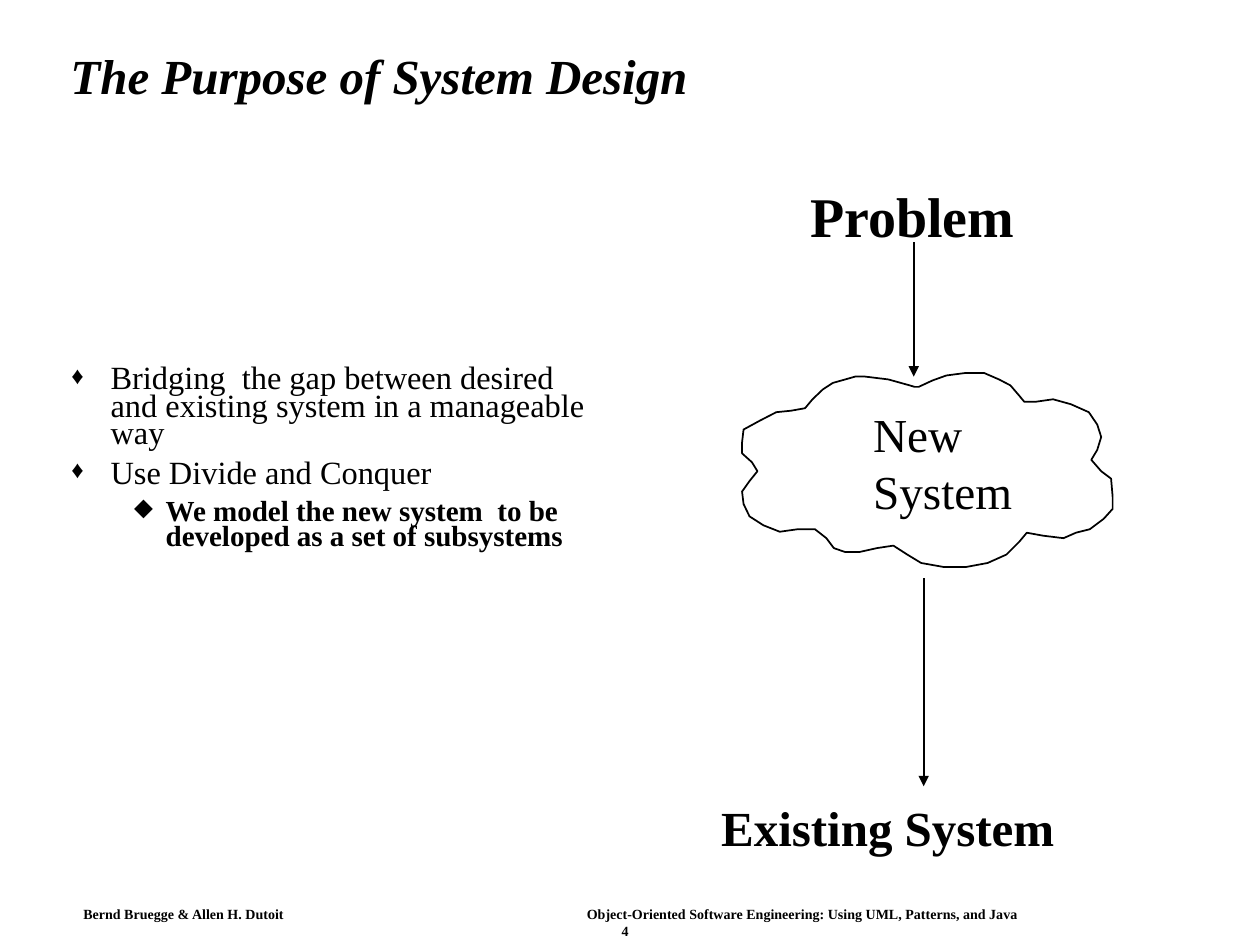
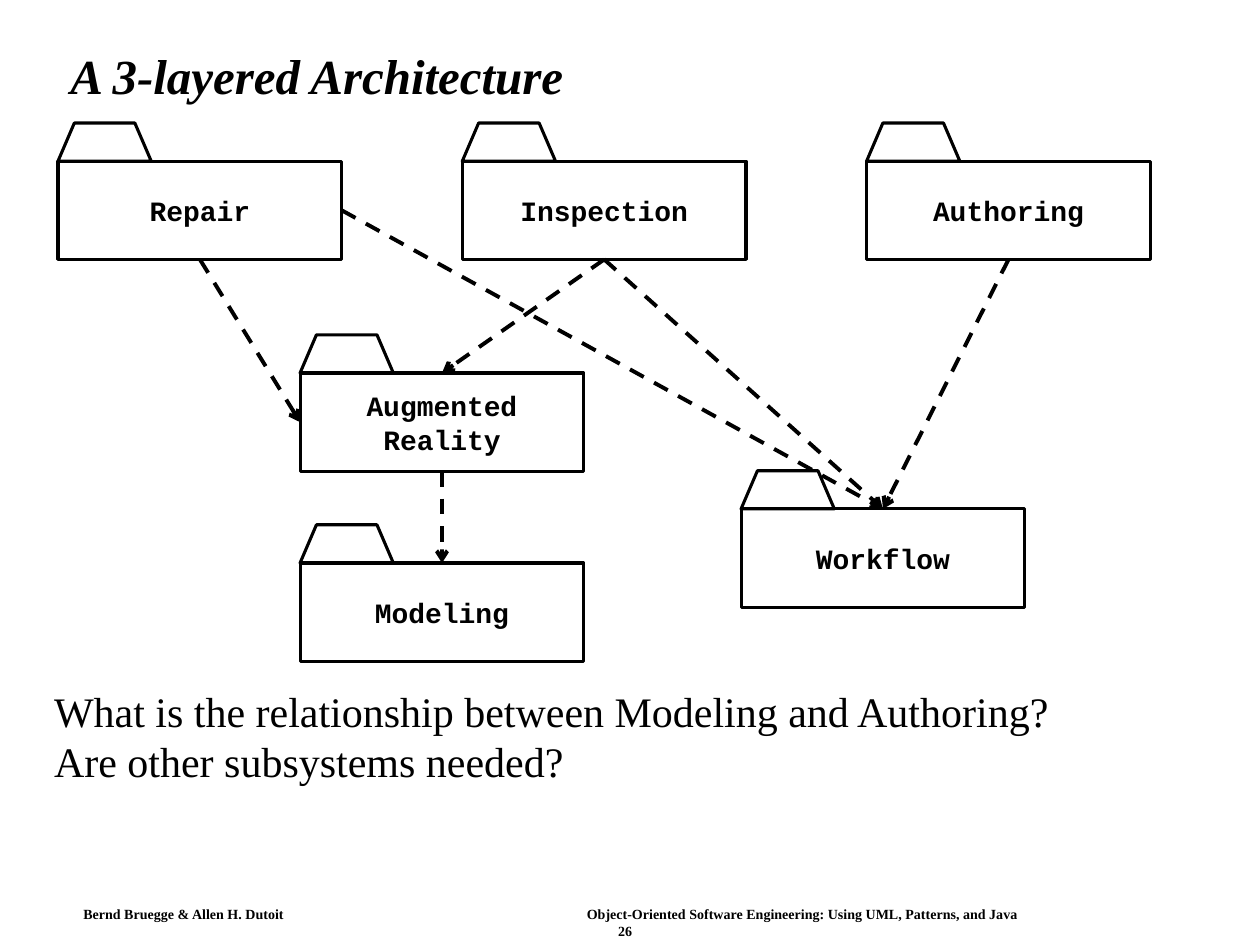
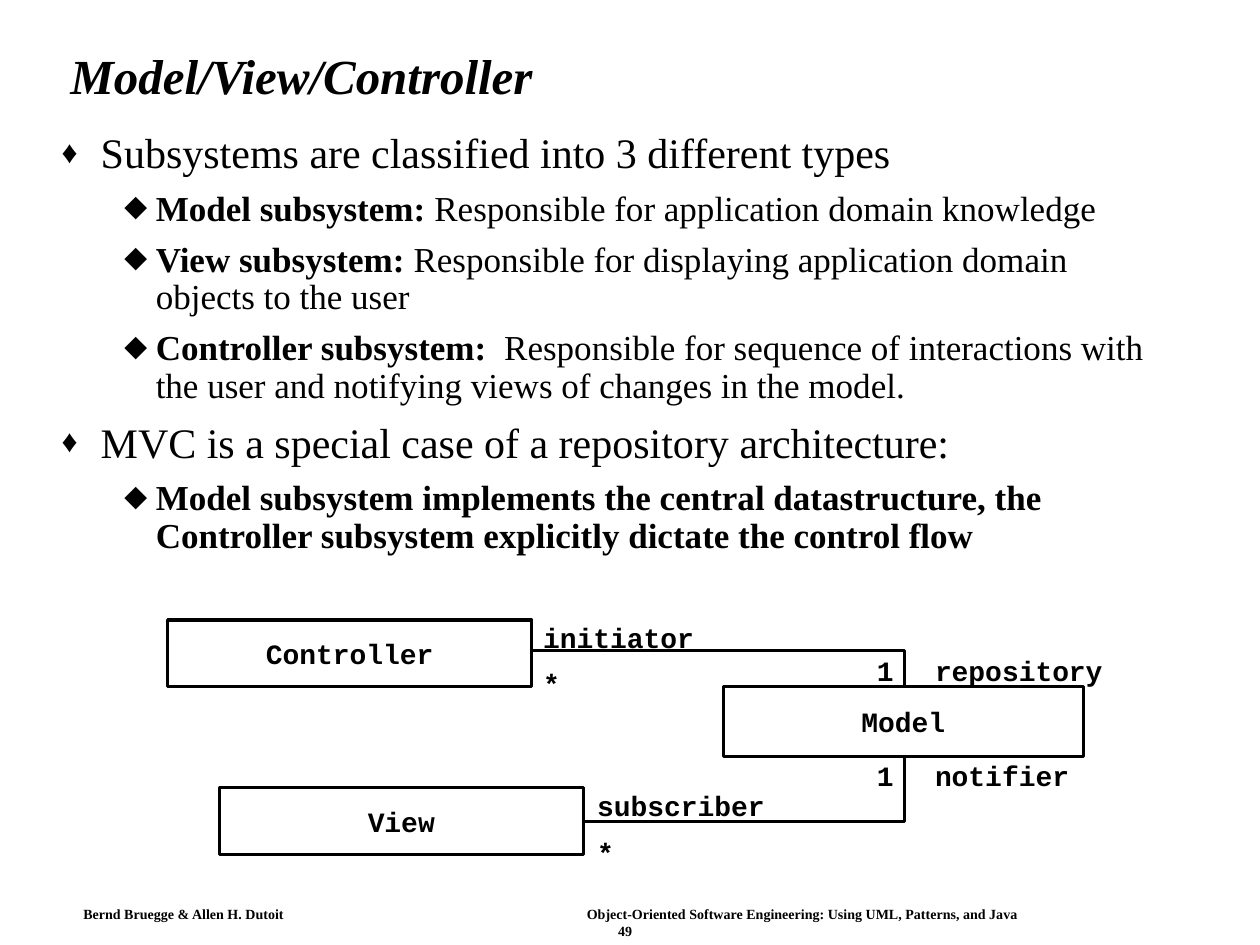
from dataclasses import dataclass
from typing import Optional

from lxml.etree import SubElement
from pptx import Presentation
from pptx.dml.color import RGBColor
from pptx.enum.dml import MSO_LINE_DASH_STYLE as Dash
from pptx.enum.shapes import MSO_CONNECTOR as ConnectorKind
from pptx.enum.shapes import MSO_SHAPE as Preset
from pptx.enum.text import MSO_ANCHOR as Anchor
from pptx.enum.text import MSO_AUTO_SIZE as AutoSize
from pptx.enum.text import PP_ALIGN as Align
from pptx.oxml.ns import qn
from pptx.shapes.autoshape import Shape
from pptx.shapes.connector import Connector
from pptx.slide import Slide
from pptx.text.text import TextFrame
from pptx.util import Cm, Pt

Point = tuple[float, float]


@dataclass(frozen=True)
class Theme:
    ink: RGBColor = RGBColor(0x00, 0x00, 0x00)
    paper: RGBColor = RGBColor(0xFF, 0xFF, 0xFF)
    serif: str = "Times New Roman"
    mono: str = "Courier New"
    title_size: float = 28
    footer_size: float = 8
    problem_size: float = 32
    existing_size: float = 28
    cloud_size: float = 27
    question_size: float = 24
    uml_size: float = 16
    thin: float = 1
    outline: float = 1.75
    dependency: float = 2.25


THEME = Theme()


@dataclass(frozen=True)
class Box:
    left: float
    top: float
    width: float
    height: float

    def lengths(self) -> tuple[Cm, Cm, Cm, Cm]:
        return Cm(self.left), Cm(self.top), Cm(self.width), Cm(self.height)


@dataclass(frozen=True)
class Bullet:
    level: int
    lead: str
    rest: str = ""


@dataclass(frozen=True)
class ListLevel:
    size: float
    space_before: float


@dataclass(frozen=True)
class ListStyle:
    line_spacing: float
    levels: tuple[ListLevel, ListLevel]


@dataclass(frozen=True)
class BulletMark:
    symbol: str
    percent: int
    margin: float
    hanging: float


@dataclass(frozen=True)
class Package:
    name: str
    left: float
    top: float


@dataclass(frozen=True)
class Dependency:
    source: str
    source_side: int
    target: str
    target_side: int


@dataclass(frozen=True)
class Label:
    text: str
    left: float
    top: float


TOP, LEFT, BOTTOM, RIGHT = range(4)
SLIDE_WIDTH, SLIDE_HEIGHT = 25.4, 19.05
TITLE_BOX = Box(1.17, 0.61, 22.66, 1.96)
FOOTER_BOX = Box(1.48, 18.16, 22.25, 0.8)
BOOK_TAB = 10.15
AUTHORS = "Bernd Bruegge & Allen H. Dutoit"
BOOK = "Object-Oriented Software Engineering: Using UML, Patterns, and Java"
MARKS = (BulletMark("♦", 75, 0.79, 0.79), BulletMark("⬥", 100, 1.9, 0.64))

PURPOSE_STYLE = ListStyle(0.7, (ListLevel(18.5, 7.5), ListLevel(16.6, 6.8)))
PURPOSE = [
    Bullet(0, "Bridging  the gap between desired and existing system in a manageable way"),
    Bullet(0, "Use Divide and Conquer"),
    Bullet(1, "We model the new system  to be developed as a set of subsystems"),
]
CLOUD = [
    (17.91, 7.65), (18.34, 7.77), (18.44, 7.8), (18.52, 7.8), (18.8, 7.67), (19.08, 7.57),
    (19.46, 7.52), (19.84, 7.52), (20.14, 7.65), (20.37, 7.77), (20.55, 7.98), (20.65, 8.1),
    (20.88, 8.1), (21.23, 8.05), (21.59, 8.15), (21.95, 8.31), (22.12, 8.56), (22.2, 8.81),
    (22.12, 9.07), (22.0, 9.27), (22.2, 9.5), (22.4, 9.65), (22.43, 10.01), (22.43, 10.26),
    (22.25, 10.46), (21.97, 10.67), (21.69, 10.74), (21.44, 10.85), (21.03, 10.8), (20.7, 10.74),
    (20.55, 10.92), (20.29, 11.18), (19.91, 11.35), (19.48, 11.43), (19.02, 11.43), (18.57, 11.35),
    (18.29, 11.18), (18.01, 11.0), (17.68, 11.05), (17.32, 11.13), (17.04, 11.13), (16.81, 11.05),
    (16.66, 10.85), (16.43, 10.67), (16.08, 10.67), (15.72, 10.72), (15.39, 10.59), (15.11, 10.41),
    (14.99, 10.16), (14.96, 9.91), (15.11, 9.7), (15.27, 9.5), (15.16, 9.32), (14.96, 9.14),
    (14.96, 8.92), (14.99, 8.66), (15.32, 8.48), (15.65, 8.31), (15.95, 8.28), (16.23, 8.23),
    (16.38, 8.05), (16.59, 7.85), (16.79, 7.72), (17.04, 7.65), (17.25, 7.59), (17.42, 7.59),
]

PACKAGE_WIDTH, PACKAGE_HEIGHT = 5.72, 1.98
TAB_WIDTH, TAB_HEIGHT, TAB_SLANT = 1.88, 0.77, 0.33
PACKAGES = [
    Package(name, 1.17 + 8.15 * column, 3.25)
    for column, name in enumerate(("Repair", "Inspection", "Authoring"))
] + [
    Package("Augmented\nReality", 6.05, 7.52),
    Package("Workflow", 14.94, 10.26),
    Package("Modeling", 6.05, 11.35),
]
DEPENDENCIES = [
    Dependency("Repair", BOTTOM, "Augmented\nReality", LEFT),
    Dependency("Inspection", BOTTOM, "Augmented\nReality", TOP),
    Dependency("Augmented\nReality", BOTTOM, "Modeling", TOP),
    Dependency("Authoring", BOTTOM, "Workflow", TOP),
    Dependency("Inspection", BOTTOM, "Workflow", TOP),
    Dependency("Repair", RIGHT, "Workflow", TOP),
]

MVC_STYLE = ListStyle(0.9, (ListLevel(24, 9), ListLevel(20, 7.5)))
MVC = [
    Bullet(0, "Subsystems are classified into 3 different types"),
    Bullet(1, "Model subsystem: ", "Responsible for application domain knowledge"),
    Bullet(1, "View subsystem: ",
           "Responsible for displaying application domain objects to the user"),
    Bullet(1, "Controller subsystem: ",
           " Responsible for sequence of interactions with the user and notifying views "
           "of changes in the model."),
    Bullet(0, "MVC is a special case of a repository architecture:"),
    Bullet(1, "Model subsystem implements the central datastructure, the Controller subsystem "
              "explicitly dictate the control flow"),
]
ASSOCIATIONS = [
    [(11.71, 16.56), (18.23, 16.56), (18.23, 15.19)],
    [(10.65, 13.11), (18.23, 13.11), (18.23, 13.84)],
]
CLASSES = {
    "Controller": Box(3.38, 12.5, 7.34, 1.35),
    "Model": Box(14.58, 13.84, 7.26, 1.42),
    "View": Box(4.42, 15.88, 7.34, 1.35),
}
CHARACTER_WIDTH = 0.34
ROLES = [
    Label("initiator", 10.95, 12.52), Label("*", 10.95, 13.44),
    Label("1", 17.68, 13.18), Label("repository", 18.85, 13.18),
    Label("1", 17.68, 15.29), Label("notifier", 18.85, 15.29),
    Label("subscriber", 12.04, 15.9), Label("*", 12.04, 16.84),
]


def style_text(frame: TextFrame, size: float, face: str = THEME.serif, bold: bool = False,
               italic: bool = False, align: Align = Align.LEFT) -> None:
    for paragraph in frame.paragraphs:
        paragraph.alignment = align
        for run in paragraph.runs:
            run.font.name = face
            run.font.size = Pt(size)
            run.font.bold = bold
            run.font.italic = italic
            run.font.color.rgb = THEME.ink


def set_insets(frame: TextFrame, across: float, down: float) -> None:
    frame.margin_left = frame.margin_right = Cm(across)
    frame.margin_top = frame.margin_bottom = Cm(down)


def add_text(slide: Slide, box: Box, text: str, insets: Point = (0.25, 0.13),
             wrap: bool = True) -> TextFrame:
    frame = slide.shapes.add_textbox(*box.lengths()).text_frame
    frame.word_wrap = wrap
    set_insets(frame, *insets)
    frame.text = text
    return frame


def place(placeholder: Shape, box: Box) -> TextFrame:
    placeholder.left, placeholder.top, placeholder.width, placeholder.height = box.lengths()
    frame = placeholder.text_frame
    frame.auto_size = AutoSize.NONE
    set_insets(frame, 0.25, 0.13)
    return frame


def add_footer(slide: Slide, number: int) -> None:
    frame = add_text(slide, FOOTER_BOX, f"{AUTHORS}\t{BOOK}\n{number}", (0.2, 0.1))
    credit, page = frame.paragraphs
    stops = SubElement(credit._p.get_or_add_pPr(), qn("a:tabLst"))
    SubElement(stops, qn("a:tab"), pos=str(Cm(BOOK_TAB)), algn="l")
    style_text(frame, THEME.footer_size, bold=True)
    page.alignment = Align.CENTER


def add_slide(deck: Presentation, layout: int, title: str, number: int) -> Slide:
    slide = deck.slides.add_slide(deck.slide_layouts[layout])
    frame = place(slide.shapes.title, TITLE_BOX)
    frame.text = title
    frame.vertical_anchor = Anchor.MIDDLE
    style_text(frame, THEME.title_size, bold=True, italic=True)
    frame.paragraphs[0].line_spacing = 0.9
    add_footer(slide, number)
    return slide


def fill_list(slide: Slide, box: Box, bullets: list[Bullet], style: ListStyle) -> None:
    frame = place(slide.placeholders[1], box)
    frame.vertical_anchor = Anchor.TOP
    for index, bullet in enumerate(bullets):
        paragraph = frame.add_paragraph() if index else frame.paragraphs[0]
        mark, level = MARKS[bullet.level], style.levels[bullet.level]
        paragraph.level = bullet.level
        properties = paragraph._p.get_or_add_pPr()
        properties.set("marL", str(Cm(mark.margin)))
        properties.set("indent", str(-Cm(mark.hanging)))
        colour = SubElement(properties, qn("a:buClr"))
        SubElement(colour, qn("a:srgbClr"), val=str(THEME.ink))
        SubElement(properties, qn("a:buSzPct"), val=str(mark.percent * 1000))
        SubElement(properties, qn("a:buFont"), typeface=THEME.serif)
        SubElement(properties, qn("a:buChar"), char=mark.symbol)
        paragraph.line_spacing = style.line_spacing
        paragraph.space_before = Pt(level.space_before if index else 0)
        paragraph.alignment = Align.LEFT
        for text, bold in ((bullet.lead, bullet.level > 0), (bullet.rest, False)):
            if text:
                run = paragraph.add_run()
                run.text = text
                run.font.name = THEME.serif
                run.font.size = Pt(level.size)
                run.font.bold = bold
                run.font.color.rgb = THEME.ink


def outline(shape: Shape, width: float, fill: Optional[RGBColor] = None) -> None:
    shape.shadow.inherit = False
    shape.line.color.rgb = THEME.ink
    shape.line.width = Pt(width)
    if fill is None:
        shape.fill.background()
    else:
        shape.fill.solid()
        shape.fill.fore_color.rgb = fill


def add_outline(slide: Slide, points: list[Point], width: float, close: bool = True,
                fill: Optional[RGBColor] = None) -> None:
    start, *rest = [(Cm(x), Cm(y)) for x, y in points]
    builder = slide.shapes.build_freeform(*start)
    builder.add_line_segments(rest, close=close)
    outline(builder.convert_to_shape(), width, fill)


def add_uml_box(slide: Slide, box: Box, name: str, fill: Optional[RGBColor] = None) -> Shape:
    shape = slide.shapes.add_shape(Preset.RECTANGLE, *box.lengths())
    outline(shape, THEME.outline, fill)
    frame = shape.text_frame
    set_insets(frame, 0.25, 0.13)
    frame.vertical_anchor = Anchor.MIDDLE
    frame.text = name
    style_text(frame, THEME.uml_size, THEME.mono, bold=True, align=Align.CENTER)
    return shape


def add_package(slide: Slide, package: Package) -> Shape:
    left, top = package.left, package.top
    body = add_uml_box(slide, Box(left, top, PACKAGE_WIDTH, PACKAGE_HEIGHT), package.name)
    add_outline(slide, [
        (left, top),
        (left + TAB_SLANT, top - TAB_HEIGHT),
        (left + TAB_WIDTH - TAB_SLANT, top - TAB_HEIGHT),
        (left + TAB_WIDTH, top),
    ], THEME.outline)
    return body


def add_arrow(slide: Slide, start: Point, end: Point, width: float, head: str,
              dash: Optional[Dash] = None) -> Connector:
    ends = [Cm(length) for length in (*start, *end)]
    arrow = slide.shapes.add_connector(ConnectorKind.STRAIGHT, *ends)
    arrow.line.color.rgb = THEME.ink
    arrow.line.width = Pt(width)
    if dash is not None:
        arrow.line.dash_style = dash
    properties = arrow.element.spPr
    SubElement(properties.find(qn("a:ln")), qn("a:tailEnd"), type=head)
    SubElement(properties, qn("a:effectLst"))
    return arrow


def build_purpose(deck: Presentation) -> None:
    slide = add_slide(deck, 1, "The Purpose of System Design", 4)
    fill_list(slide, Box(1.19, 7.29, 11.28, 4.22), PURPOSE, PURPOSE_STYLE)
    problem = add_text(slide, Box(16.08, 3.52, 4.93, 1.6), "Problem")
    style_text(problem, THEME.problem_size, bold=True)
    existing = add_text(slide, Box(11.23, 15.95, 13.33, 1.42), "Existing System")
    style_text(existing, THEME.existing_size, bold=True, align=Align.CENTER)
    add_outline(slide, CLOUD, THEME.thin, fill=THEME.paper)
    new_system = add_text(slide, Box(17.35, 8.04, 4, 2.54), "New\nSystem")
    style_text(new_system, THEME.cloud_size)
    add_arrow(slide, (18.42, 4.88), (18.42, 7.59), THEME.thin, "triangle")
    add_arrow(slide, (18.62, 11.66), (18.62, 15.85), THEME.thin, "triangle")


def build_architecture(deck: Presentation) -> None:
    slide = add_slide(deck, 5, "A 3-layered Architecture", 26)
    questions = add_text(
        slide, Box(0.84, 13.69, 22.94, 3.81),
        "What is the relationship between Modeling and Authoring?\nAre other subsystems needed?")
    style_text(questions, THEME.question_size)
    bodies = {package.name: add_package(slide, package) for package in PACKAGES}
    for dependency in DEPENDENCIES:
        arrow = add_arrow(slide, (0, 0), (1, 1), THEME.dependency, "arrow", Dash.DASH)
        arrow.begin_connect(bodies[dependency.source], dependency.source_side)
        arrow.end_connect(bodies[dependency.target], dependency.target_side)


def build_mvc(deck: Presentation) -> None:
    slide = add_slide(deck, 1, "Model/View/Controller", 49)
    fill_list(slide, Box(0.99, 2.54, 22.94, 13.67), MVC, MVC_STYLE)
    for route in ASSOCIATIONS:
        add_outline(slide, route, THEME.outline, close=False)
    for name, box in CLASSES.items():
        add_uml_box(slide, box, name, THEME.paper)
    for role in ROLES:
        box = Box(role.left, role.top, CHARACTER_WIDTH * len(role.text), 0.69)
        frame = add_text(slide, box, role.text, (0, 0), wrap=False)
        style_text(frame, THEME.uml_size, THEME.mono, bold=True)


def main() -> None:
    deck = Presentation()
    deck.slide_width, deck.slide_height = Cm(SLIDE_WIDTH), Cm(SLIDE_HEIGHT)
    build_purpose(deck)
    build_architecture(deck)
    build_mvc(deck)
    deck.save("out.pptx")


if __name__ == "__main__":
    main()
